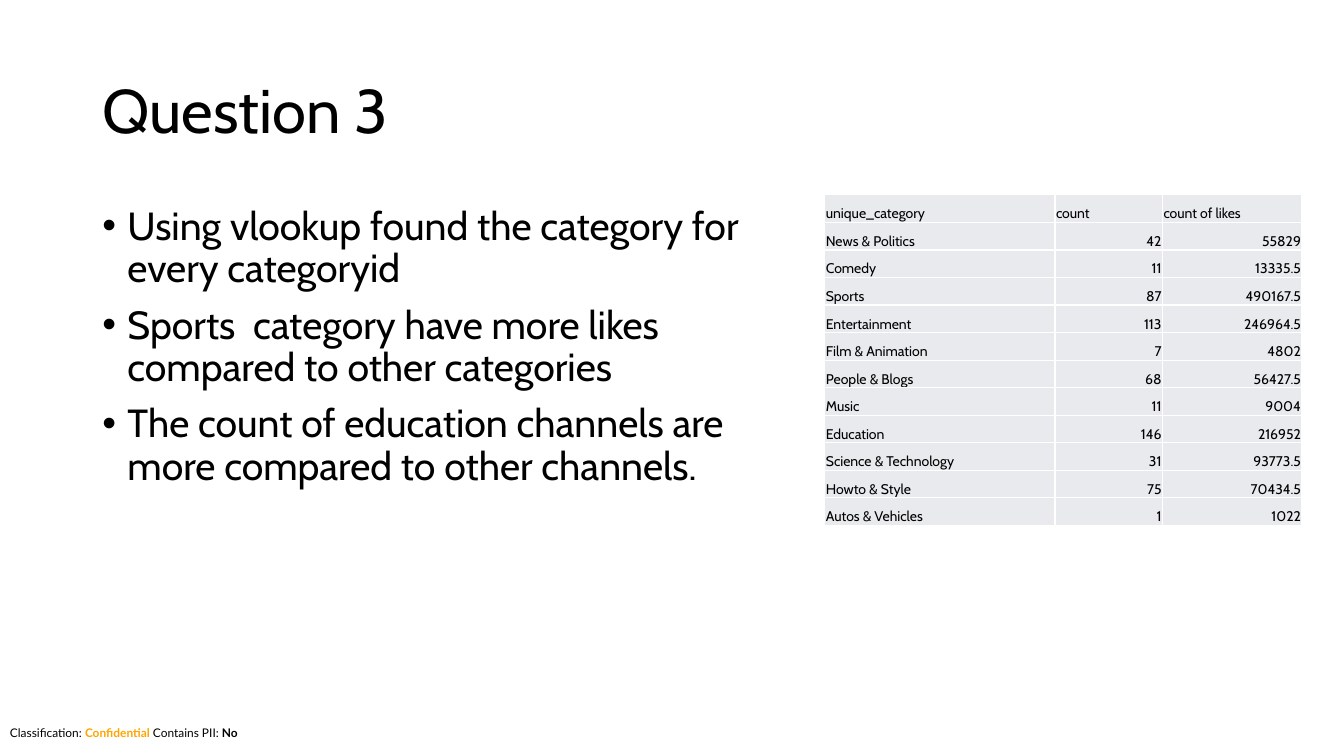
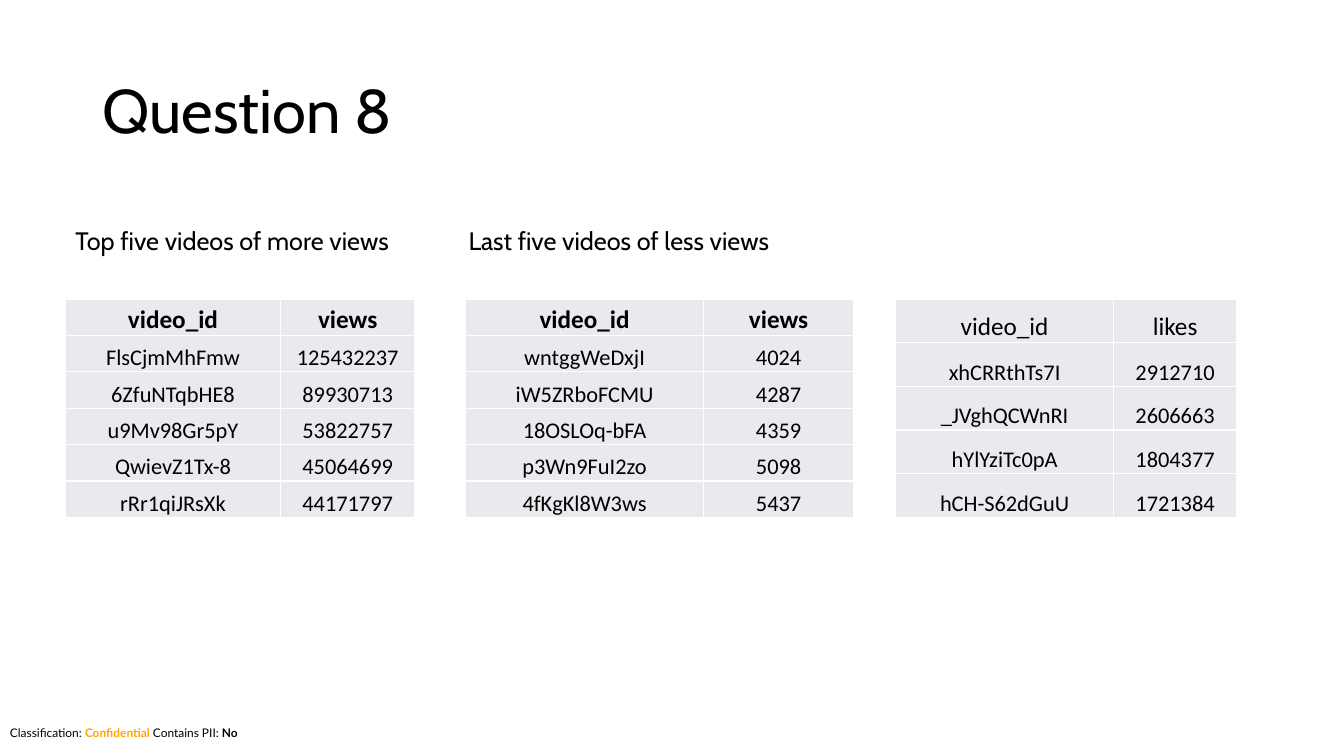
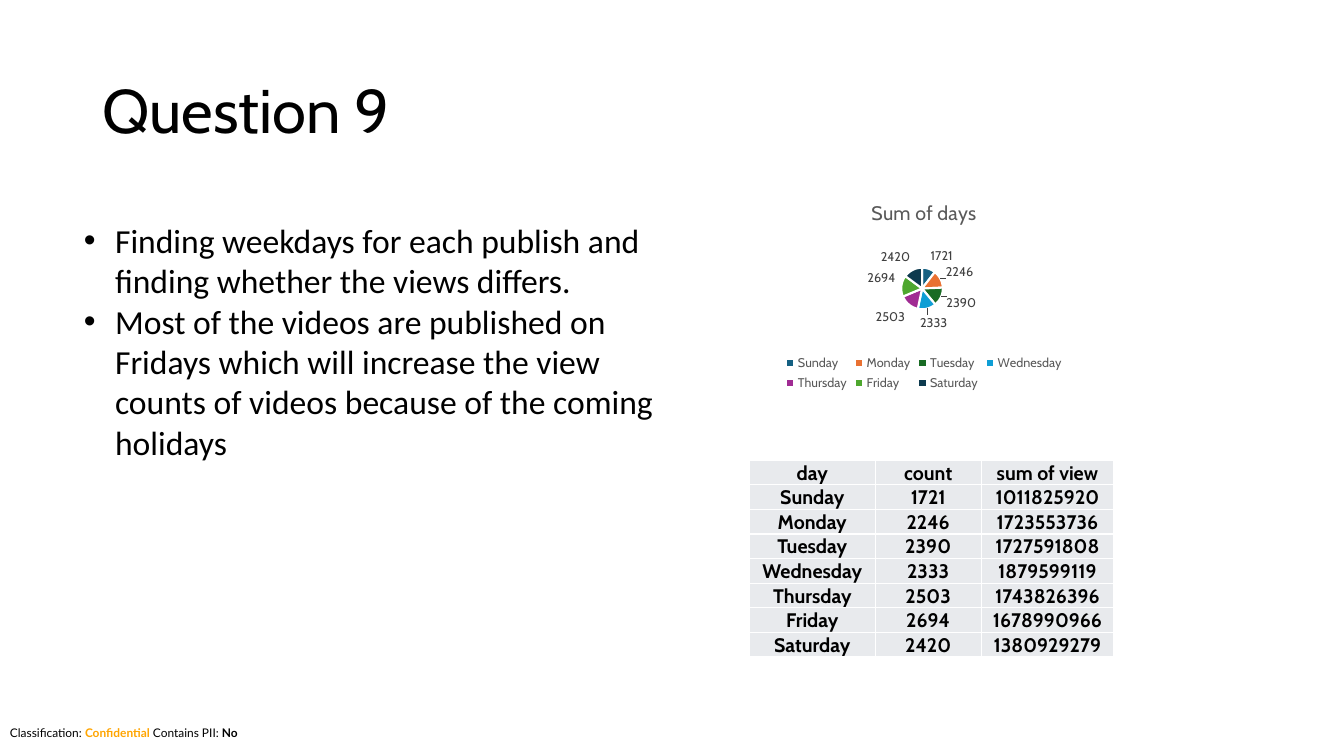
import lxml.etree
import pptx
import pptx.chart.data
import pptx.dml.color
import pptx.enum.chart
import pptx.enum.text
import pptx.oxml
import pptx.oxml.ns
import pptx.util

# The slide is a grid of 800 columns by 450 rows.
COLUMNS, ROWS = 800, 450
CELL = pptx.util.Inches(1) // 60
BLACK, WHITE, ORANGE = "000000", "FFFFFF", "FFA500"
CELL_FILL, CHART_GREY, LABEL_GREY = "E8EAED", "595959", "404040"
HEADING_FONT, TABLE_FONT, FOOTER_FONT = "Cabin", "Calibri", "Lato"

rgb = pptx.dml.color.RGBColor.from_string
qn = pptx.oxml.ns.qn
ALIGN = pptx.enum.text.PP_ALIGN


def add_run(paragraph, text, font, size, color=BLACK, bold=False):
    run = paragraph.add_run()
    run.text = text
    run.font.name = font
    run.font.size = pptx.util.Pt(size)
    run.font.bold = bold
    run.font.color.rgb = rgb(color)


def add_table(slide, left, top, widths, height, rows, font, sizes, bolds=(False, False), centred=True):
    """Sizes and bolds are pairs: header row, then body rows."""
    frame = slide.shapes.add_table(len(rows), len(widths), left * CELL, top * CELL,
                                   sum(widths) * CELL, height * CELL)
    table = frame.table
    table.first_row = table.horz_banding = False
    for column, width in zip(table.columns, widths):
        column.width = width * CELL
    for row_index, values in enumerate(rows):
        table.rows[row_index].height = height * CELL // len(rows)
        body = min(row_index, 1)
        for column_index, value in enumerate(values):
            cell = table.cell(row_index, column_index)
            cell.margin_left = cell.margin_right = cell.margin_top = pptx.util.Inches(0.01)
            cell.margin_bottom = 0
            cell.vertical_anchor = pptx.enum.text.MSO_ANCHOR.BOTTOM
            cell.fill.solid()
            cell.fill.fore_color.rgb = rgb(CELL_FILL)
            paragraph = cell.text_frame.paragraphs[0]
            if centred:
                paragraph.alignment = ALIGN.CENTER
            else:
                paragraph.alignment = ALIGN.RIGHT if body and column_index else ALIGN.LEFT
            add_run(paragraph, value, font, sizes[body], bold=bolds[body])
            properties = cell._tc.get_or_add_tcPr()
            for position, side in enumerate(("a:lnL", "a:lnR", "a:lnT", "a:lnB")):
                border = lxml.etree.Element(qn(side), w=str(pptx.util.Pt(1)))
                fill = lxml.etree.SubElement(border, qn("a:solidFill"))
                lxml.etree.SubElement(fill, qn("a:srgbClr"), val=WHITE)
                properties.insert(position, border)


presentation = pptx.Presentation()
presentation.slide_width = COLUMNS * CELL
presentation.slide_height = ROWS * CELL
layout = presentation.slide_layouts.get_by_name("Title Only")

# Titles
slides = []
for title_text in ("Question 3", "Question 8", "Question 9"):
    slide = presentation.slides.add_slide(layout)
    title = slide.shapes.title
    title.left, title.top, title.width, title.height = 55 * CELL, 24 * CELL, 690 * CELL, 87 * CELL
    title.text_frame.vertical_anchor = pptx.enum.text.MSO_ANCHOR.MIDDLE
    paragraph = title.text_frame.paragraphs[0]
    paragraph.alignment = ALIGN.LEFT
    paragraph.line_spacing = 0.9
    add_run(paragraph, title_text, HEADING_FONT, 44)
    slides.append(slide)
category_slide, views_slide, weekday_slide = slides

# The footer is moved to the layout, so that every slide shows it
footer = category_slide.shapes.add_textbox(0, 429 * CELL, COLUMNS * CELL, 14 * CELL)
footer.text_frame.word_wrap = True
for text, color, bold in (("Classification: ", BLACK, False), ("Confidential", ORANGE, True),
                          (" Contains PII: ", BLACK, False), ("No", BLACK, True)):
    add_run(footer.text_frame.paragraphs[0], text, FOOTER_FONT, 8.5, color, bold)
layout.shapes.element.append(footer.element)

# Bullets and table captions: slide, place, font, size, indent, line spacing, space before, lines
text_blocks = [
    (category_slide, (55, 120, 425, 286), HEADING_FONT, 28, 0.25, 0.9, 10, [
        "Using vlookup found the category for every categoryid",
        "Sports  category have more likes compared to other categories",
        "The count of education channels are more compared to other channels."]),
    (views_slide, (39, 131, 217, 24), HEADING_FONT, 18, 0, 1.0, 0, ["Top five videos of more views"]),
    (views_slide, (273, 131, 217, 24), HEADING_FONT, 18, 0, 1.0, 0, ["Last five videos of less views"]),
    (weekday_slide, (44, 128, 370, 151), TABLE_FONT, 24, 0.31, 1.0, 0, [
        "Finding weekdays for each publish and finding whether the views differs.",
        "Most of the videos are published on Fridays which will increase the view counts "
        "of videos because of the coming holidays"]),
]
for slide, place, font, size, indent, line_spacing, space_before, lines in text_blocks:
    text_frame = slide.shapes.add_textbox(*(length * CELL for length in place)).text_frame
    text_frame.word_wrap = True
    for index, line in enumerate(lines):
        paragraph = text_frame.add_paragraph() if index else text_frame.paragraphs[0]
        paragraph.line_spacing = line_spacing
        paragraph.space_before = pptx.util.Pt(space_before)
        if indent:
            properties = paragraph._p.get_or_add_pPr()
            properties.set("marL", str(pptx.util.Inches(indent)))
            properties.set("indent", str(-pptx.util.Inches(indent)))
            lxml.etree.SubElement(properties, qn("a:buFont"), typeface="Arial")
            lxml.etree.SubElement(properties, qn("a:buChar"), char="•")
        add_run(paragraph, line, font, size)

# Question 3: likes by category
add_table(category_slide, 491, 116, (137, 64, 83), 197, [
    ("unique_category", "count", "count of likes"),
    ("News & Politics", "42", "55829"),
    ("Comedy", "11", "13335.5"),
    ("Sports", "87", "490167.5"),
    ("Entertainment", "113", "246964.5"),
    ("Film & Animation", "7", "4802"),
    ("People & Blogs", "68", "56427.5"),
    ("Music", "11", "9004"),
    ("Education", "146", "216952"),
    ("Science & Technology", "31", "93773.5"),
    ("Howto & Style", "75", "70434.5"),
    ("Autos & Vehicles", "1", "1022"),
], HEADING_FONT, (10, 10), centred=False)

# Question 8: most views, fewest views, most likes
video_tables = [
    (39, (128, 80), True, [
        ("video_id", "views"), ("FlsCjmMhFmw", "125432237"), ("6ZfuNTqbHE8", "89930713"),
        ("u9Mv98Gr5pY", "53822757"), ("QwievZ1Tx-8", "45064699"), ("rRr1qiJRsXk", "44171797")]),
    (277, (142, 89), True, [
        ("video_id", "views"), ("wntggWeDxjI", "4024"), ("iW5ZRboFCMU", "4287"),
        ("18OSLOq-bFA", "4359"), ("p3Wn9FuI2zo", "5098"), ("4fKgKl8W3ws", "5437")]),
    (533, (130, 73), False, [
        ("video_id", "likes"), ("xhCRRthTs7I", "2912710"), ("_JVghQCWnRI", "2606663"),
        ("hYlYziTc0pA", "1804377"), ("hCH-S62dGuU", "1721384")]),
]
for left, widths, bold_header, rows in video_tables:
    add_table(views_slide, left, 178, widths, 130, rows, TABLE_FONT, (18, 16), (bold_header, False))

# Question 9: day, count, sum of view, slice colour
weekdays = [
    ("Sunday", 1721, "1011825920", "156082"),
    ("Monday", 2246, "1723553736", "E97132"),
    ("Tuesday", 2390, "1727591808", "196B24"),
    ("Wednesday", 2333, "1879599119", "0F9ED5"),
    ("Thursday", 2503, "1743826396", "A02B93"),
    ("Friday", 2694, "1678990966", "4EA72E"),
    ("Saturday", 2420, "1380929279", "0D3A4E"),
]
chart_data = pptx.chart.data.CategoryChartData()
chart_data.categories = [day for day, *_ in weekdays]
chart_data.add_series("Series 1", [count for _, count, *_ in weekdays])
chart = weekday_slide.shapes.add_chart(pptx.enum.chart.XL_CHART_TYPE.PIE, 437 * CELL, 111 * CELL,
                                       226 * CELL, 124 * CELL, chart_data).chart
chart.font.name = HEADING_FONT
chart.font.size = pptx.util.Pt(10)
add_run(chart.chart_title.text_frame.paragraphs[0], "Sum of days", HEADING_FONT, 14, CHART_GREY)
chart.has_legend = True
chart.legend.position = pptx.enum.chart.XL_LEGEND_POSITION.BOTTOM
chart.legend.include_in_layout = False

plot = chart.plots[0]
plot.vary_by_categories = True
plot.has_data_labels = True
labels = plot.data_labels
labels.show_value = True
labels.position = pptx.enum.chart.XL_LABEL_POSITION.BEST_FIT
for font, color in ((chart.legend.font, CHART_GREY), (labels.font, LABEL_GREY)):
    font.name = HEADING_FONT
    font.size = pptx.util.Pt(9)
    font.color.rgb = rgb(color)
for index, (*_, color) in enumerate(weekdays):
    slice_format = plot.series[0].points[index].format
    slice_format.fill.solid()
    slice_format.fill.fore_color.rgb = rgb(color)
    slice_format.line.color.rgb = rgb(WHITE)
    slice_format.line.width = pptx.util.Pt(1.5)

# The pie takes a small share of the chart, which leaves room for its labels
plot_area = chart.element.find(".//" + qn("c:plotArea"))
for old_layout in plot_area.findall(qn("c:layout")):
    plot_area.remove(old_layout)
plot_layout = lxml.etree.Element(qn("c:layout"))
manual_layout = lxml.etree.SubElement(plot_layout, qn("c:manualLayout"))
for tag, value in (("layoutTarget", "inner"), ("xMode", "edge"), ("yMode", "edge"),
                   ("x", "0.44"), ("y", "0.39"), ("w", "0.11"), ("h", "0.2")):
    lxml.etree.SubElement(manual_layout, qn("c:" + tag), val=value)
plot_area.insert(0, plot_layout)

weekday_rows = [("day", "count", "sum of view")]
weekday_rows += [(day, str(count), views) for day, count, views, _ in weekdays]
add_table(weekday_slide, 446, 274, (75, 63, 79), 115, weekday_rows, HEADING_FONT, (14, 14), (True, True))

presentation.save("out.pptx")
